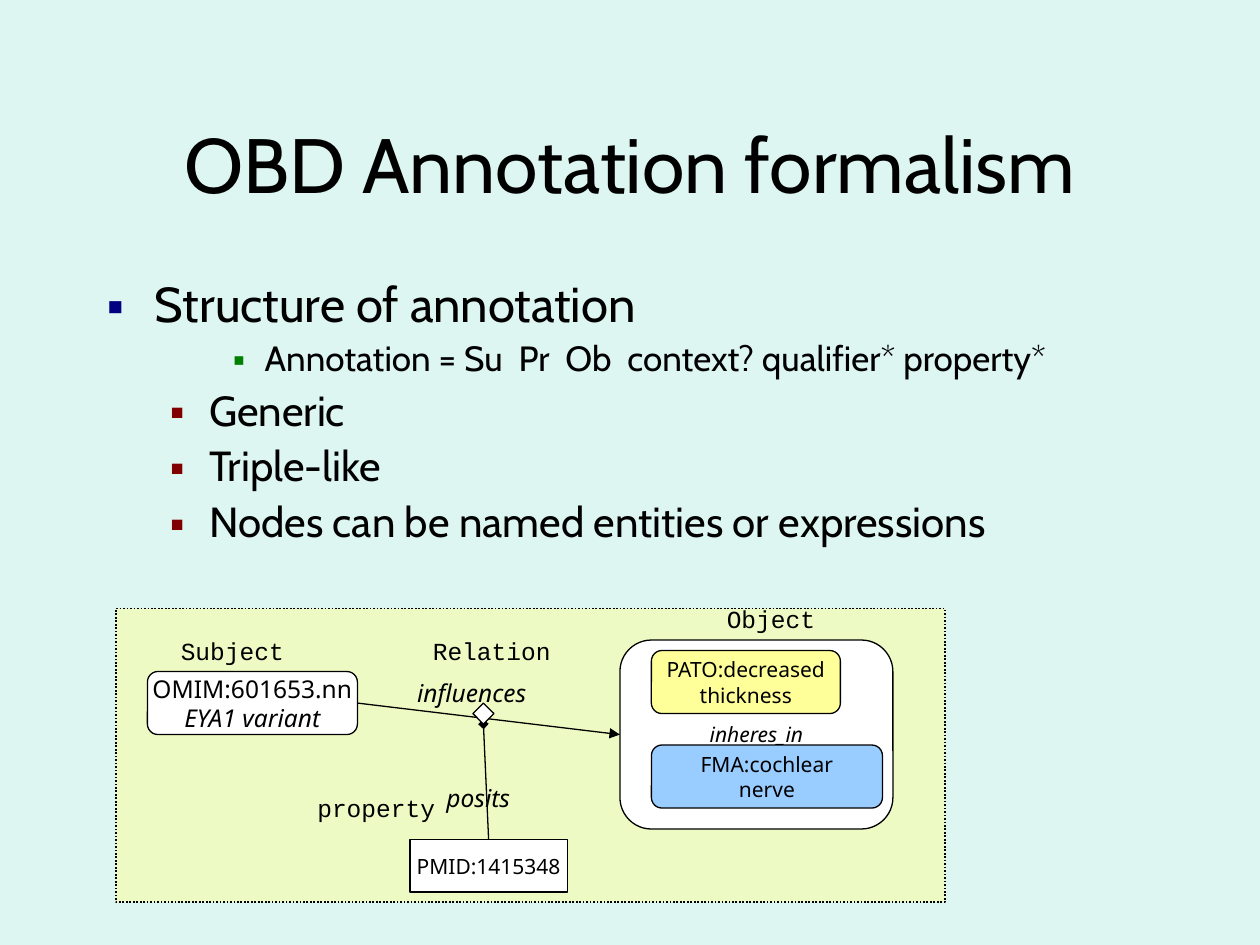
from lxml.etree import SubElement
from pptx import Presentation
from pptx.dml.color import RGBColor
from pptx.enum.dml import MSO_LINE
from pptx.enum.shapes import MSO_CONNECTOR, MSO_SHAPE as SHAPE
from pptx.enum.text import MSO_ANCHOR, MSO_AUTO_SIZE, PP_ALIGN
from pptx.oxml.ns import qn
from pptx.util import Inches, Pt

MINT = RGBColor(0xDE, 0xF6, 0xF1)
BLACK = RGBColor(0, 0, 0)
WHITE = RGBColor(0xFF, 0xFF, 0xFF)
YELLOW = RGBColor(0xFF, 0xFF, 0x99)
BLUE = RGBColor(0x99, 0xCC, 0xFF)
NAVY = RGBColor(0, 0, 0x80)
MAROON = RGBColor(0x80, 0, 0)
GREEN = RGBColor(0, 0x80, 0)

HEADING, SANS, MONO = "Cabin", "Noto Sans", "Courier New"
UNIT = Inches(1) / 12  # the diagram sits on a grid of twelfths of an inch

# level: (size, space before, left margin, hanging indent, bullet colour)
LEVELS = {
    0: (28, 7, 0.38, 0.38, NAVY),
    1: (24, 6, 0.81, 0.31, MAROON),
    2: (20, 5, 1.25, 0.25, GREEN),
}
POINTS = [
    (0, "Structure of annotation"),
    (2, "Annotation = Su  Pr  Ob  context? qualifier* property*"),
    (1, "Generic"),
    (1, "Triple-like"),
    (1, "Nodes can be named entities or expressions"),
]
# text, left, top (grid units), width (inches), font
LABELS = [
    ("Subject", 5, 2, 1.06, MONO),
    ("Object", 57, -1, 0.94, MONO),
    ("influences", 27.5, 6, 1.12, SANS),
    ("posits", 30.3, 16, 0.76, SANS),
    ("Relation", 29, 2, 1.18, MONO),
    ("property", 18, 17, 1.18, MONO),
]


def set_font(font, name, size, italic=False):
    font.name, font.size, font.italic = name, Pt(size), italic
    font.color.rgb = BLACK


def set_bullet(p, margin, hang, color):
    pPr = p._p.get_or_add_pPr()
    pPr.set("marL", str(Inches(margin)))
    pPr.set("indent", str(-Inches(hang)))
    clr = SubElement(pPr, qn("a:buClr"))
    SubElement(clr, qn("a:srgbClr"), val=str(color))
    SubElement(pPr, qn("a:buSzPct"), val="85000")
    SubElement(pPr, qn("a:buFont"), typeface=SANS)
    SubElement(pPr, qn("a:buChar"), char="▪")


def place(sp, left, top, width, height):
    sp.left, sp.top, sp.width, sp.height = left, top, width, height


def add_title(slide, box):
    sp = slide.shapes.title
    place(sp, *box)
    tf = sp.text_frame
    tf.text = "OBD Annotation formalism"
    tf.auto_size = MSO_AUTO_SIZE.NONE
    tf.vertical_anchor = MSO_ANCHOR.MIDDLE
    p = tf.paragraphs[0]
    p.alignment = PP_ALIGN.CENTER
    set_font(p.runs[0].font, HEADING, 44)


def add_points(slide, box):
    sp = slide.placeholders[1]
    place(sp, *box)
    tf = sp.text_frame
    tf.text = "\n".join(text for _, text in POINTS)
    tf.auto_size = MSO_AUTO_SIZE.NONE
    for i, (p, (level, _)) in enumerate(zip(tf.paragraphs, POINTS)):
        size, before, margin, hang, color = LEVELS[level]
        p.level = level
        p.line_spacing = 0.9
        p.space_before = Pt(before if i else 0)
        set_bullet(p, margin, hang, color)
        set_font(p.runs[0].font, HEADING, size)


def add_node(slide, kind, box, fill, text="", size=12, italics=()):
    """Outlined shape; italics lists the paragraphs set in italic."""
    sp = slide.shapes.add_shape(kind, *box)
    sp.shadow.inherit = False
    sp.fill.solid()
    sp.fill.fore_color.rgb = fill
    sp.line.color.rgb = BLACK
    sp.line.width = Pt(0.75)
    if text:
        tf = sp.text_frame
        tf.text = text
        tf.word_wrap = False
        tf.vertical_anchor = MSO_ANCHOR.MIDDLE
        for i, p in enumerate(tf.paragraphs):
            p.alignment = PP_ALIGN.CENTER
            set_font(p.runs[0].font, SANS, size, i in italics)
    return sp


def add_link(slide, start, start_site, end, end_site, arrow):
    link = slide.shapes.add_connector(MSO_CONNECTOR.STRAIGHT, 0, 0, 0, 0)
    link.begin_connect(start, start_site)
    link.end_connect(end, end_site)
    link.line.color.rgb = BLACK
    link.line.width = Pt(0.75)
    SubElement(link.line._get_or_add_ln(), qn("a:tailEnd"), type=arrow)
    SubElement(link._element.spPr, qn("a:effectLst"))
    return link


def add_label(slide, left, top, width, text, font):
    sp = slide.shapes.add_textbox(left, top, width, Inches(0.34))
    tf = sp.text_frame
    tf.text = text
    tf.word_wrap = False
    tf.auto_size = MSO_AUTO_SIZE.NONE
    set_font(tf.paragraphs[0].runs[0].font, font, 14, font == SANS)


def add_diagram(slide, left, top, width, height):
    def at(x, y):
        return round(left + x * UNIT), round(top + y * UNIT)

    def cell(x, y, w, h):
        return *at(x, y), round(w * UNIT), round(h * UNIT)

    panel = add_node(slide, SHAPE.RECTANGLE, (left, top, width, height), YELLOW)
    panel.line.width = Pt(1)
    panel.line.dash_style = MSO_LINE.ROUND_DOT
    color = panel.fill._xPr.find(qn("a:solidFill"))[0]
    SubElement(color, qn("a:alpha"), val="50000")

    rounded = SHAPE.ROUNDED_RECTANGLE
    obj = add_node(slide, rounded, cell(48, 3, 26, 18), WHITE, "inheres_in", italics=[0])
    subject = add_node(slide, rounded, cell(3, 6, 20, 6), WHITE,
                       "OMIM:601653.nn\nEYA1 variant", 14, italics=[1])
    add_link(slide, subject, 3, obj, 1, "triangle")
    source = add_node(slide, SHAPE.RECTANGLE, cell(28, 22, 15, 5), WHITE, "PMID:1415348")
    add_node(slide, rounded, cell(51, 4, 18, 6), YELLOW, "PATO:decreased\nthickness")
    add_node(slide, rounded, cell(51, 13, 22, 6), BLUE, "FMA:cochlear\nnerve")
    relation = add_node(slide, SHAPE.DIAMOND, cell(34, 9, 2, 2), WHITE)
    posits = add_link(slide, source, 0, relation, 2, "diamond")
    relation._element.addprevious(posits._element)  # the node covers the line end

    for text, x, y, label_width, font in LABELS:
        add_label(slide, *at(x, y), Inches(label_width), text, font)


def main():
    prs = Presentation()
    prs.slide_width, prs.slide_height = Inches(10), Inches(7.5)
    slide = prs.slides.add_slide(prs.slide_layouts[1])
    slide.background.fill.solid()
    slide.background.fill.fore_color.rgb = MINT
    add_title(slide, (Inches(0.75), Inches(0.67), Inches(8.5), Inches(1.25)))
    add_points(slide, (Inches(0.75), Inches(2.17), Inches(8.5), Inches(4.5)))
    add_diagram(slide, Inches(0.92), Inches(4.83), Inches(6.58), Inches(2.33))
    prs.save("out.pptx")


if __name__ == "__main__":
    main()
